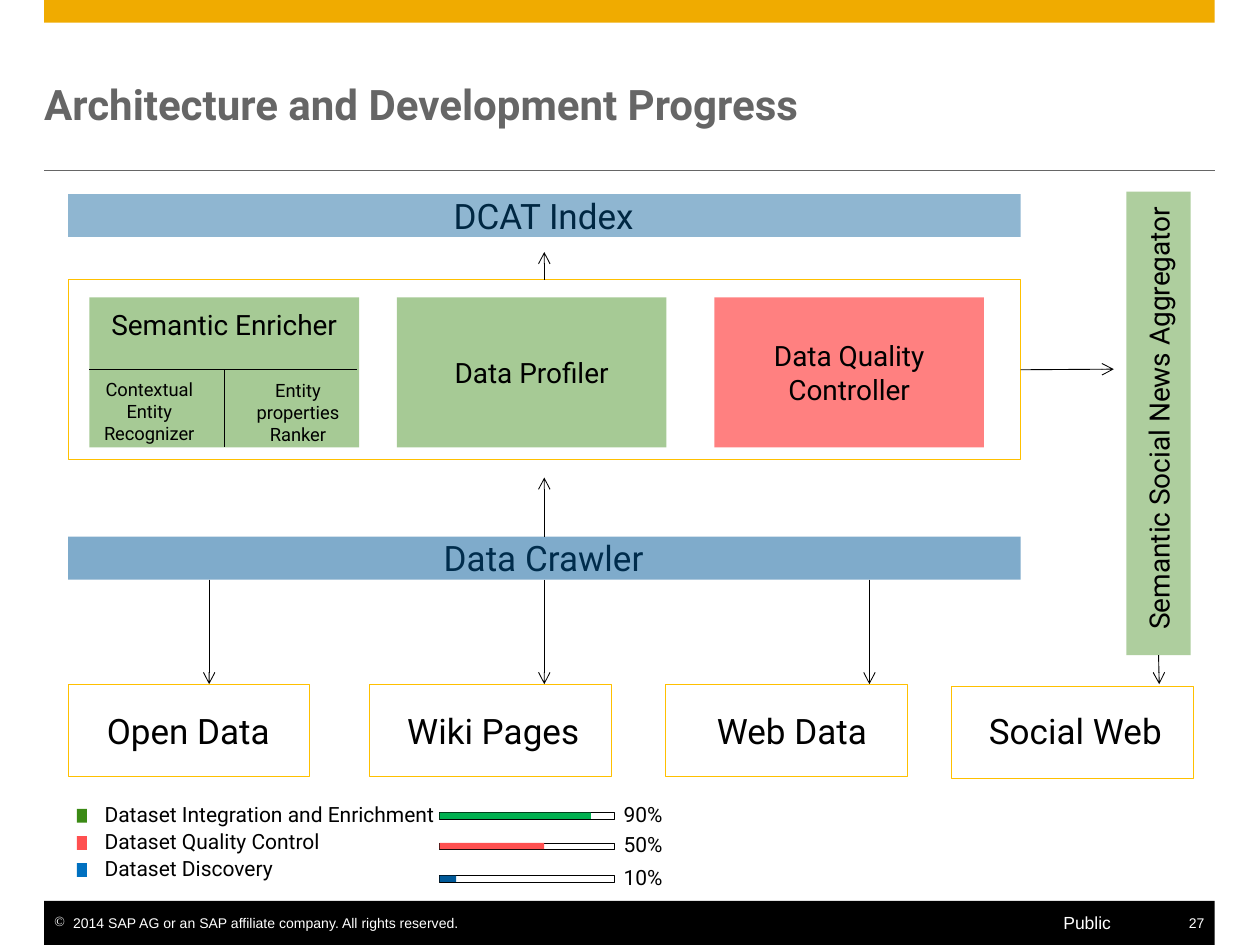
import pptx
import pptx.util
import pptx.dml.color
import pptx.enum.shapes
import pptx.enum.text
import pptx.oxml
import pptx.oxml.ns
from dataclasses import dataclass
from pptx.util import Inches


@dataclass(frozen=True)
class Theme:
    font: str = "Roboto"
    footer_font: str = "Arial"
    black: str = "000000"
    white: str = "FFFFFF"
    grey: str = "666666"
    gold: str = "F0AB00"
    frame: str = "FFC000"
    green: str = "3B8A15"
    bar_green: str = "00B050"
    red: str = "FF5050"
    blue: str = "005998"
    key_blue: str = "0070C0"
    title: float = 24
    large: float = 20
    medium: float = 16
    legend: float = 12
    small: float = 10.5
    public: float = 10
    footer: float = 8
    line: float = 0.5


T = Theme()
ALIGN = pptx.enum.text.PP_ALIGN
ANCHOR = pptx.enum.text.MSO_ANCHOR


def rgb(value):
    return pptx.dml.color.RGBColor.from_string(value)


def sub(parent, tag, **attrs):
    el = pptx.oxml.ns.qn(tag)
    child = parent.makeelement(el, attrs)
    parent.append(child)
    return child


def add_rect(s, box, fill=None, line=None, alpha=None):
    sp = s.shapes.add_shape(pptx.enum.shapes.MSO_SHAPE.RECTANGLE, *map(Inches, box))
    sp.shadow.inherit = False
    if fill:
        sp.fill.solid()
        sp.fill.fore_color.rgb = rgb(fill)
        if alpha:
            color = sp.fill._xPr.find(".//" + pptx.oxml.ns.qn("a:srgbClr"))
            sub(color, "a:alpha", val=str(alpha * 1000))
    else:
        sp.fill.background()
    if line:
        sp.line.color.rgb = rgb(line)
        sp.line.width = pptx.util.Pt(T.line)
    else:
        sp.line.fill.background()
    return sp


def add_text(s, box, text, size, color=T.black, font=T.font, bold=False,
             align=ALIGN.CENTER, anchor=ANCHOR.TOP, left=0, right=0,
             bullet=None, vert=None, wrap=True):
    tf = s.shapes.add_textbox(*map(Inches, box)).text_frame
    tf.word_wrap = wrap
    tf.vertical_anchor = anchor
    tf.margin_left, tf.margin_right = Inches(left), Inches(right)
    tf.margin_top = tf.margin_bottom = 0
    if vert:
        tf._txBody.bodyPr.set("vert", vert)
    p = tf.paragraphs[0]
    p.alignment = align
    if bullet:
        pPr = p._p.get_or_add_pPr()
        pPr.set("marL", str(Inches(0.15)))
        pPr.set("indent", str(-Inches(0.15)))
        sub(sub(pPr, "a:buClr"), "a:srgbClr", val=color)
        sub(pPr, "a:buChar", char=bullet)
    r = p.add_run()
    r.text = text
    r.font.name, r.font.size, r.font.bold = font, pptx.util.Pt(size), bold
    r.font.color.rgb = rgb(color)


def add_line(s, start, end, color=T.black, arrow=True, source=None, site=None):
    cx = s.shapes.add_connector(pptx.enum.shapes.MSO_CONNECTOR.STRAIGHT,
                                *map(Inches, (*start, *end)))
    cx.line.color.rgb = rgb(color)
    cx.line.width = pptx.util.Pt(T.line)
    if arrow:
        sub(cx.line._get_or_add_ln(), "a:tailEnd", type="arrow")
    sub(cx._element.spPr, "a:effectLst")
    if source is not None:
        cx.begin_connect(source, site)


def add_header(s, box):
    x, y, w, h = box
    add_rect(s, (x, y, w, 0.18), T.gold)
    add_text(s, (x, y + 0.35, w, 0.95), "Architecture and Development Progress",
             T.title, T.grey, bold=True, align=ALIGN.LEFT, anchor=ANCHOR.MIDDLE)
    add_line(s, (x, y + h), (x + w, y + h), T.grey, arrow=False)


def add_footer(s, box):
    x, y, w, h = box
    style = dict(color=T.white, font=T.footer_font)
    add_rect(s, box, T.black)
    add_text(s, (x, y + 0.11, 3.35, 0.13),
             "2014 SAP AG or an SAP affiliate company. All rights reserved.",
             T.footer, align=ALIGN.LEFT, left=0.08, bullet="©", wrap=False, **style)
    add_text(s, (x + 8.09, y + 0.09, 0.8, 0.17), "Public", T.public,
             align=ALIGN.LEFT, **style)
    add_text(s, (x + w - 0.3, y + 0.11, 0.3, 0.13), "27", T.footer,
             align=ALIGN.RIGHT, right=0.08, **style)


def add_band(s, box, text, alpha):
    # The translucent band lies over its label and tints it
    x, y, w, h = box
    add_text(s, (x + 2.79, y, 1.97, h), text, T.large)
    return add_rect(s, box, T.blue, alpha=alpha)


def add_stage(s, box):
    x, y, w, h = box
    stage = add_rect(s, box, line=T.frame)
    top, mw, mh = y + 0.14, 2.14, 1.19
    modules = (
        (0.17, "Semantic Enricher", T.green, 45, 0.08, 0.27),
        (2.61, "Data Profiler", T.green, 45, 0.46, 0.27),
        (5.13, "Data Quality Controller", T.red, 72, 0.33, 0.54),
    )
    for dx, text, fill, alpha, dy, th in modules:
        add_rect(s, (x + dx, top, mw, mh), fill, alpha=alpha)
        inset = 0.05 if dx == 0.17 else 0.2
        add_text(s, (x + dx + inset, top + dy, mw - 2 * inset, th), text, T.medium)

    # Parts of the enricher
    left, split = x + 0.17, y + 0.71
    add_line(s, (left, split), (left + 2.12, split), arrow=False)
    add_line(s, (left + 1.07, split), (left + 1.07, top + mh), arrow=False)
    add_text(s, (left, split + 0.07, 0.95, 0.53), "Contextual Entity Recognizer", T.small)
    add_text(s, (left + 1.2, split + 0.08, 0.91, 0.53), "Entity properties Ranker", T.small)
    return stage


def add_aggregator(s, box):
    x, y, w, h = box
    sp = add_rect(s, box, T.green, alpha=41)
    add_text(s, (x + 0.12, y + 0.12, 0.27, 3.36), "Semantic Social News Aggregator",
             T.medium, anchor=ANCHOR.MIDDLE, vert="vert270")
    return sp


def add_source(s, box, text, shift):
    x, y, w, h = box
    add_rect(s, box, line=T.frame)
    add_text(s, (x + shift, 5.63, 1.97, 0.34), text, T.large)


def add_legend(s, box):
    x, y, w, h = box
    rows = (  # label, key colour, bar colour, bar length, bar top, percent
        ("Dataset Integration and Enrichment", T.green, T.bar_green, 1.2, 0.09, "90%"),
        ("Dataset Quality Control", T.red, T.red, 0.83, 0.33, "50%"),
        ("Dataset Discovery", T.key_blue, T.blue, 0.13, 0.59, "10%"),
    )
    for i, (label, key, color, length, dy, percent) in enumerate(rows):
        top = y + i * 0.215
        add_rect(s, (x, top + 0.06, 0.08, 0.11), key)
        add_text(s, (x + 0.22, top, 2.75, 0.2), label, T.legend, align=ALIGN.LEFT)
        add_rect(s, (x + 2.88, y + dy, 1.39, 0.05), T.white, T.black)
        add_rect(s, (x + 2.88, y + dy, length, 0.05), color)
        add_text(s, (x + 4.34, y + dy - 0.09, 1.04, 0.2), percent, T.legend,
                 align=ALIGN.LEFT)


def main():
    prs = pptx.Presentation()
    prs.slide_width, prs.slide_height = Inches(10), Inches(7.5)
    s = prs.slides.add_slide(prs.slide_layouts[6])

    add_header(s, (0.35, 0, 9.29, 1.35))
    add_footer(s, (0.35, 7.15, 9.29, 0.35))

    # Processing layers
    add_band(s, (0.54, 1.54, 7.56, 0.34), "DCAT Index", 44)
    stage = add_stage(s, (0.54, 2.22, 7.56, 1.43))
    crawler = add_band(s, (0.54, 4.26, 7.56, 0.34), "Data Crawler", 50)
    aggregator = add_aggregator(s, (8.94, 1.52, 0.51, 3.68))

    # Data sources
    for x, y, text, shift in ((0.54, 5.43, "Open Data", -0.03), (2.93, 5.43, "Wiki Pages", 0),
                              (5.28, 5.43, "Web Data", 0.02), (7.55, 5.45, "Social Web", 0)):
        add_source(s, (x, y, 1.92, 0.73), text, shift)

    # Flow arrows
    add_line(s, (4.32, 2.22), (4.32, 2), source=stage, site=0)
    add_line(s, (8.1, 2.93), (8.84, 2.93), source=stage, site=3)
    add_line(s, (4.32, 4.26), (4.32, 3.79), source=crawler, site=0)
    add_line(s, (4.32, 4.6), (4.32, 5.43), source=crawler, site=2)
    add_line(s, (9.2, 5.2), (9.2, 5.43), source=aggregator, site=2)
    for x in (1.66, 6.9):
        add_line(s, (x, 4.6), (x, 5.43))

    add_legend(s, (0.61, 6.36, 5.38, 0.7))
    prs.save("out.pptx")


if __name__ == "__main__":
    main()
